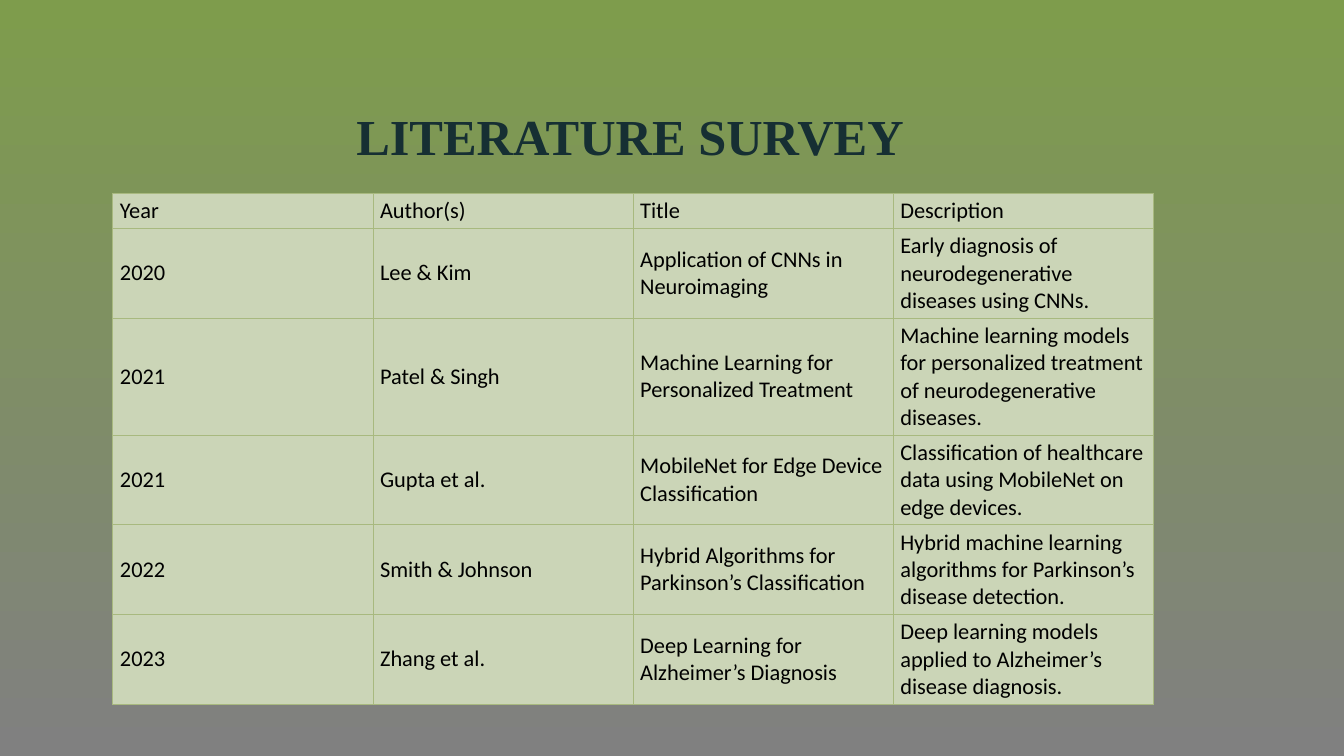
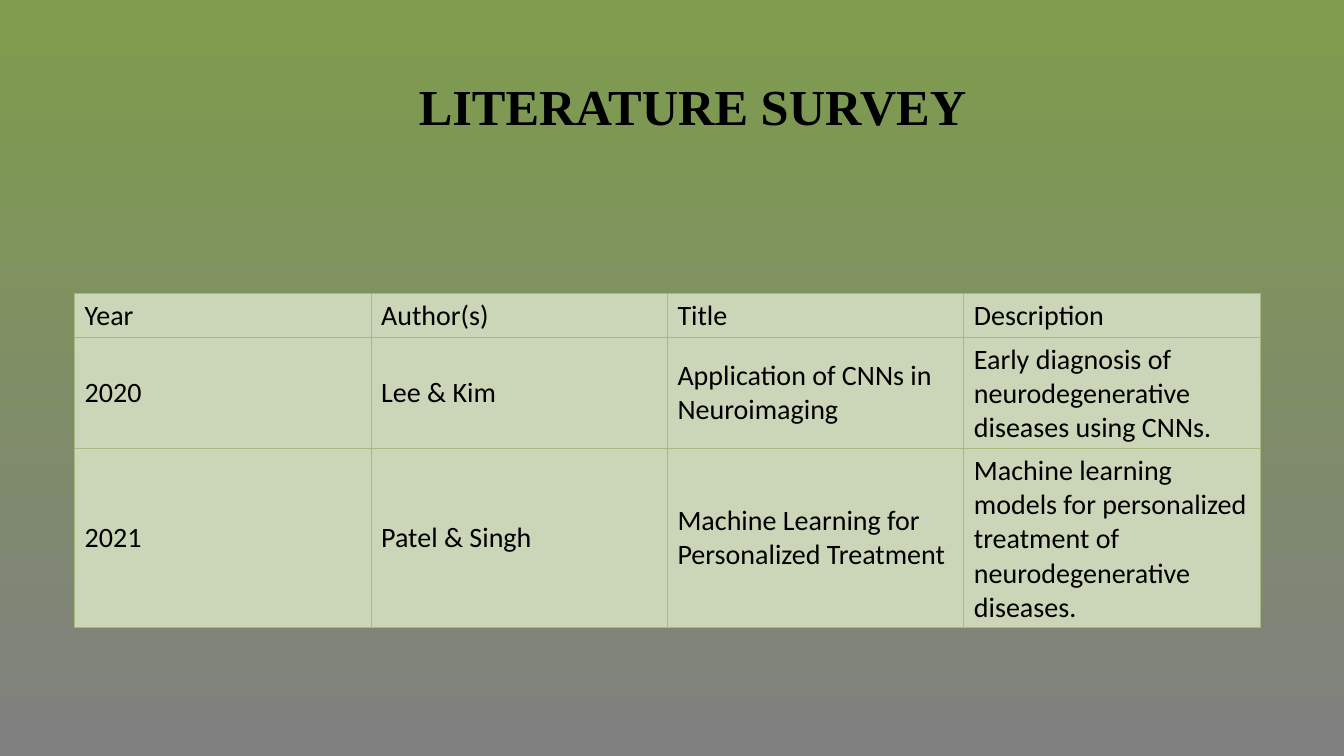
from lxml import etree
from pptx import Presentation
from pptx.dml.color import RGBColor
from pptx.enum.text import MSO_ANCHOR, PP_ALIGN
from pptx.oxml.ns import qn
from pptx.util import Inches, Pt

CENTER = PP_ALIGN.CENTER
MIDDLE = MSO_ANCHOR.MIDDLE

GREEN, GREY = "7E9C4C", "808080"
CELL, BORDER = "CBD5B7", "A8B97F"
BLACK, DARK_TEAL = "000000", "162F33"
TITLE_FONT, BODY_FONT = "Times New Roman", "Calibri"

SURVEY = [
    ("Year", "Author(s)", "Title", "Description"),
    ("2020", "Lee & Kim", "Application of CNNs in Neuroimaging",
     "Early diagnosis of neurodegenerative diseases using CNNs."),
    ("2021", "Patel & Singh", "Machine Learning for Personalized Treatment",
     "Machine learning models for personalized treatment of neurodegenerative diseases."),
    ("2021", "Gupta et al.", "MobileNet for Edge Device Classification",
     "Classification of healthcare data using MobileNet on edge devices."),
    ("2022", "Smith & Johnson", "Hybrid Algorithms for Parkinson’s Classification",
     "Hybrid machine learning algorithms for Parkinson’s disease detection."),
    ("2023", "Zhang et al.", "Deep Learning for Alzheimer’s Diagnosis",
     "Deep learning models applied to Alzheimer’s disease diagnosis."),
]


def rgb(value):
    return RGBColor.from_string(value)


class Deck:
    """Holds the shared style and the current slide."""

    def __init__(self):
        self.prs = Presentation()
        self.prs.slide_width = Inches(13.33)
        self.prs.slide_height = Inches(7.5)
        self.s = None

    def slide(self):
        self.s = self.prs.slides.add_slide(self.prs.slide_layouts[6])
        fill = self.s.background.fill
        fill.gradient()
        fill.gradient_angle = 270
        for stop, color, position in zip(fill.gradient_stops, (GREEN, GREY), (0, 1)):
            stop.color.rgb = rgb(color)
            stop.position = position

    def style(self, p, font, size, color, bold=False):
        for r in p.runs:
            r.font.name = font
            r.font.size = Pt(size)
            r.font.bold = bold
            r.font.color.rgb = rgb(color)

    def title(self, text, left, top, width, height, color):
        sp = self.s.shapes.add_textbox(
            Inches(left), Inches(top), Inches(width), Inches(height))
        tf = sp.text_frame
        tf.word_wrap = True
        tf.text = text
        p = tf.paragraphs[0]
        p.alignment = CENTER
        p.line_spacing = 1.7
        pPr = p._p.get_or_add_pPr()
        pPr.set("marL", str(Inches(1)))
        pPr.set("indent", "0")
        self.style(p, TITLE_FONT, 36, color, bold=True)

    def borders(self, cell):
        tcPr = cell._tc.get_or_add_tcPr()
        for side in ("a:lnL", "a:lnR", "a:lnT", "a:lnB"):
            ln = etree.SubElement(tcPr, qn(side), w=str(Pt(0.75)))
            fill = etree.SubElement(ln, qn("a:solidFill"))
            etree.SubElement(fill, qn("a:srgbClr"), val=BORDER)

    def table(self, rows, left, top, col_width, heights, size, inset_x, inset_y):
        columns = len(rows[0])
        table = self.s.shapes.add_table(
            len(rows), columns, Inches(left), Inches(top),
            Inches(col_width * columns), Inches(sum(heights))).table
        table.first_row = table.horz_banding = False
        for column in table.columns:
            column.width = Inches(col_width)
        for row, height, texts in zip(table.rows, heights, rows):
            row.height = Inches(height)
            for cell, text in zip(row.cells, texts):
                self.borders(cell)
                cell.fill.solid()
                cell.fill.fore_color.rgb = rgb(CELL)
                cell.vertical_anchor = MIDDLE
                cell.margin_left = cell.margin_right = Inches(inset_x)
                cell.margin_top = cell.margin_bottom = Inches(inset_y)
                cell.text_frame.text = text
                self.style(cell.text_frame.paragraphs[0], BODY_FONT, size, BLACK)


def main():
    deck = Deck()

    deck.slide()
    deck.title("LITERATURE SURVEY", 2.24, 0.57, 7.02, 0.92, DARK_TEAL)
    deck.table(SURVEY, 1.12, 1.92, 2.58, [0.33, 0.89, 1.16, 0.89, 0.89, 0.89],
               16, 0.07, 0.04)

    deck.slide()
    deck.title("LITERATURE SURVEY", 3.02, 0.28, 6.7, 1.13, BLACK)
    deck.table(SURVEY[:3], 0.74, 2.91, 2.94, [0.44, 1.1, 1.77], 20, 0.1, 0.05)

    deck.prs.save("out.pptx")


if __name__ == "__main__":
    main()
